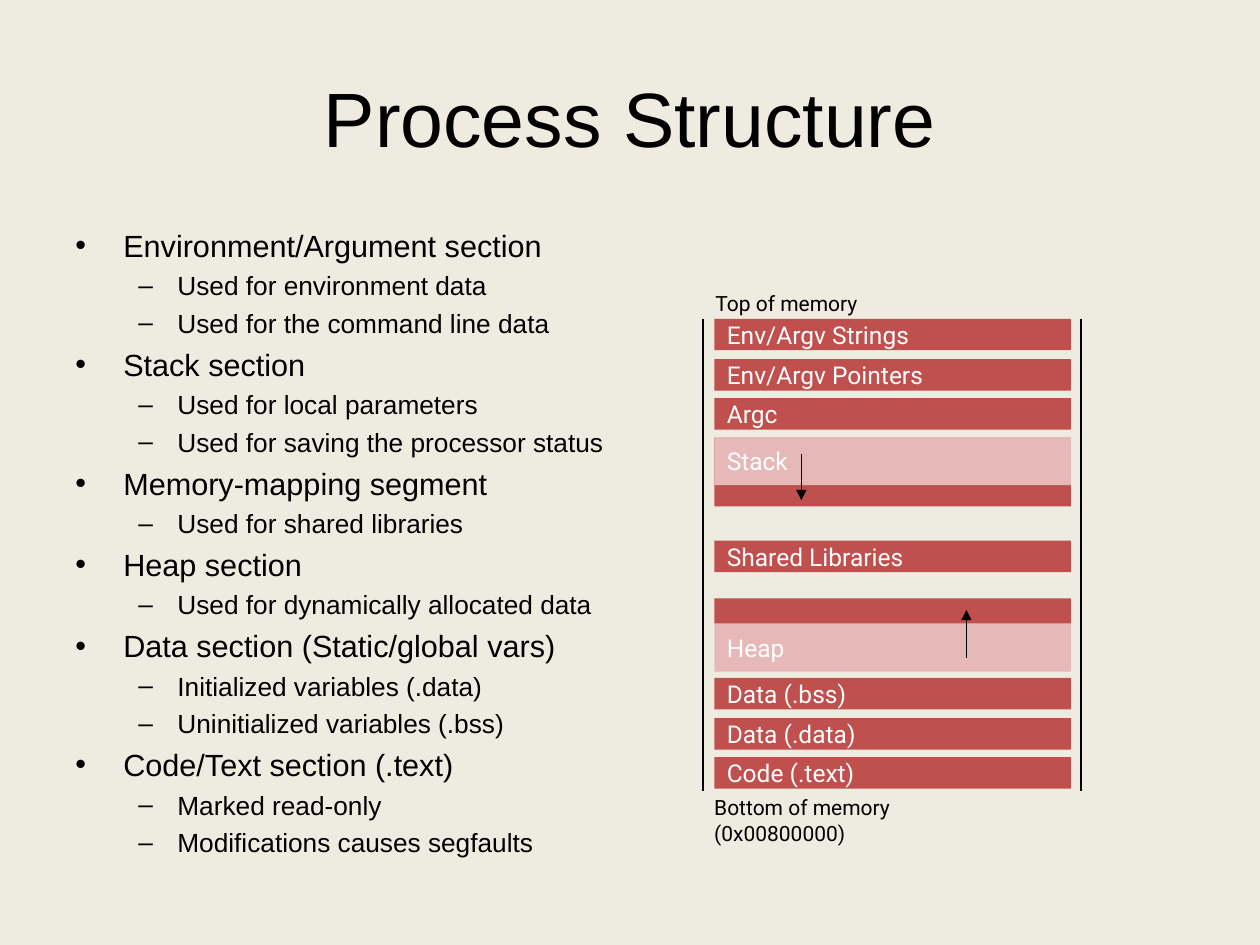
from typing import NamedTuple

from lxml.etree import SubElement
from pptx import Presentation
from pptx.dml.color import RGBColor as RGB
from pptx.enum.shapes import MSO_CONNECTOR as Conn, MSO_SHAPE as Shape
from pptx.enum.text import MSO_ANCHOR as Anchor, PP_ALIGN as Align
from pptx.oxml.ns import qn
from pptx.util import Inches, Pt

PAPER = RGB(0xEE, 0xEC, 0xE1)
RED = RGB(0xC0, 0x50, 0x4D)
PINK = RGB(0xE6, 0xB9, 0xB8)
BLACK = RGB(0, 0, 0)
WHITE = RGB(0xFF, 0xFF, 0xFF)

BAR_LEFT, BAR_WIDTH = 5.67, 2.83


class Bar(NamedTuple):
    top: float
    height: float
    label: str = ""
    fill: RGB = RED


class Line(NamedTuple):
    x: float
    start: float
    end: float
    width: float
    arrow: bool = False


class Level(NamedTuple):
    mark: str
    margin: float
    indent: float
    size: float
    gap: float


class Topic(NamedTuple):
    name: str
    notes: list[str]


class Label(NamedTuple):
    left: float
    top: float
    width: float
    height: float
    text: str


LEVELS = [Level("•", 0.38, -0.38, 17.5, 4), Level("–", 0.81, -0.31, 15, 3.5)]

TOPICS = [
    Topic("Environment/Argument section",
          ["Used for environment data", "Used for the command line data"]),
    Topic("Stack section",
          ["Used for local parameters", "Used for saving the processor status"]),
    Topic("Memory-mapping segment", ["Used for shared libraries"]),
    Topic("Heap section", ["Used for dynamically allocated data"]),
    Topic("Data section (Static/global vars)",
          ["Initialized variables (.data)", "Uninitialized variables (.bss)"]),
    Topic("Code/Text section (.text)",
          ["Marked read-only", "Modifications causes segfaults"]),
]

BARS = [
    Bar(2.53, 0.25, "Env/Argv Strings"),
    Bar(2.85, 0.25, "Env/Argv Pointers"),
    Bar(3.16, 0.25, "Argc"),
    Bar(3.47, 0.55),
    Bar(3.47, 0.38, "Stack", PINK),
    Bar(4.29, 0.25, "Shared Libraries"),
    Bar(4.75, 0.2),
    Bar(4.95, 0.38, "Heap", PINK),
    Bar(5.38, 0.25, "Data (.bss)"),
    Bar(5.7, 0.25, "Data (.data)"),
    Bar(6.01, 0.25, "Code (.text)"),
]

LINES = [
    Line(5.58, 2.53, 6.28, 1),
    Line(8.58, 2.53, 6.28, 1),
    Line(6.36, 3.6, 3.97, 0.75, arrow=True),
    Line(7.67, 5.22, 4.84, 0.75, arrow=True),
]

LABELS = [
    Label(5.58, 2.26, 2.33, 0.3, "Top of memory"),
    Label(5.57, 6.26, 2.49, 0.3, "Bottom of memory (0x00800000)"),
]


def add_run(para, text: str, size: float, color: RGB, face: str) -> None:
    run = para.add_run()
    run.text = text
    run.font.size = Pt(size)
    run.font.name = face
    run.font.color.rgb = color


def add_box(slide, left: float, top: float, width: float, height: float):
    box = slide.shapes.add_textbox(
        Inches(left), Inches(top), Inches(width), Inches(height))
    box.text_frame.word_wrap = True
    return box.text_frame


def add_item(para, text: str, depth: int, first: bool) -> None:
    level = LEVELS[depth]
    para.level = depth
    para.space_before = Pt(0 if first else level.gap)
    props = para._p.get_or_add_pPr()
    props.set("marL", str(Inches(level.margin)))
    props.set("indent", str(Inches(level.indent)))
    SubElement(props, qn("a:buFont")).set("typeface", "Arial")
    SubElement(props, qn("a:buChar")).set("char", level.mark)
    add_run(para, text, level.size, BLACK, "Arial")


def add_topics(slide, topics: list[Topic]) -> None:
    frame = add_box(slide, 0.5, 1.75, 4.42, 4.95)
    items = [(text, depth) for topic in topics
             for text, depth in [(topic.name, 0)] + [(n, 1) for n in topic.notes]]
    for i, (text, depth) in enumerate(items):
        para = frame.add_paragraph() if i else frame.paragraphs[0]
        add_item(para, text, depth, first=i == 0)


def add_bar(slide, bar: Bar) -> None:
    rect = slide.shapes.add_shape(
        Shape.RECTANGLE, Inches(BAR_LEFT), Inches(bar.top),
        Inches(BAR_WIDTH), Inches(bar.height))
    rect.shadow.inherit = False
    rect.fill.solid()
    rect.fill.fore_color.rgb = bar.fill
    rect.line.fill.background()
    if bar.label:
        frame = rect.text_frame
        frame.vertical_anchor = Anchor.MIDDLE
        para = frame.paragraphs[0]
        para.alignment = Align.LEFT
        add_run(para, bar.label, 14, WHITE, "Roboto")


def add_line(slide, line: Line) -> None:
    link = slide.shapes.add_connector(
        Conn.STRAIGHT, Inches(line.x), Inches(line.start),
        Inches(line.x), Inches(line.end))
    link.line.color.rgb = BLACK
    link.line.width = Pt(line.width)
    if line.arrow:
        SubElement(link.line._get_or_add_ln(), qn("a:tailEnd")).set("type", "triangle")
    SubElement(link._element.spPr, qn("a:effectLst"))


def add_label(slide, label: Label) -> None:
    frame = add_box(slide, label.left, label.top, label.width, label.height)
    add_run(frame.paragraphs[0], label.text, 12, BLACK, "Roboto")


def main() -> None:
    deck = Presentation()
    deck.slide_width, deck.slide_height = Inches(10), Inches(7.5)
    slide = deck.slides.add_slide(deck.slide_layouts[5])
    slide.background.fill.solid()
    slide.background.fill.fore_color.rgb = PAPER

    # Title
    title = slide.shapes.title
    title.left, title.top = Inches(0.5), Inches(0.3)
    title.width, title.height = Inches(9), Inches(1.25)
    title.text_frame.vertical_anchor = Anchor.MIDDLE
    para = title.text_frame.paragraphs[0]
    para.alignment = Align.CENTER
    add_run(para, "Process Structure", 44, BLACK, "Arial")

    # Section list
    add_topics(slide, TOPICS)

    # Memory map
    for label in LABELS:
        add_label(slide, label)
    for bar in BARS:
        add_bar(slide, bar)
    for line in LINES:
        add_line(slide, line)

    deck.save("out.pptx")


if __name__ == "__main__":
    main()
